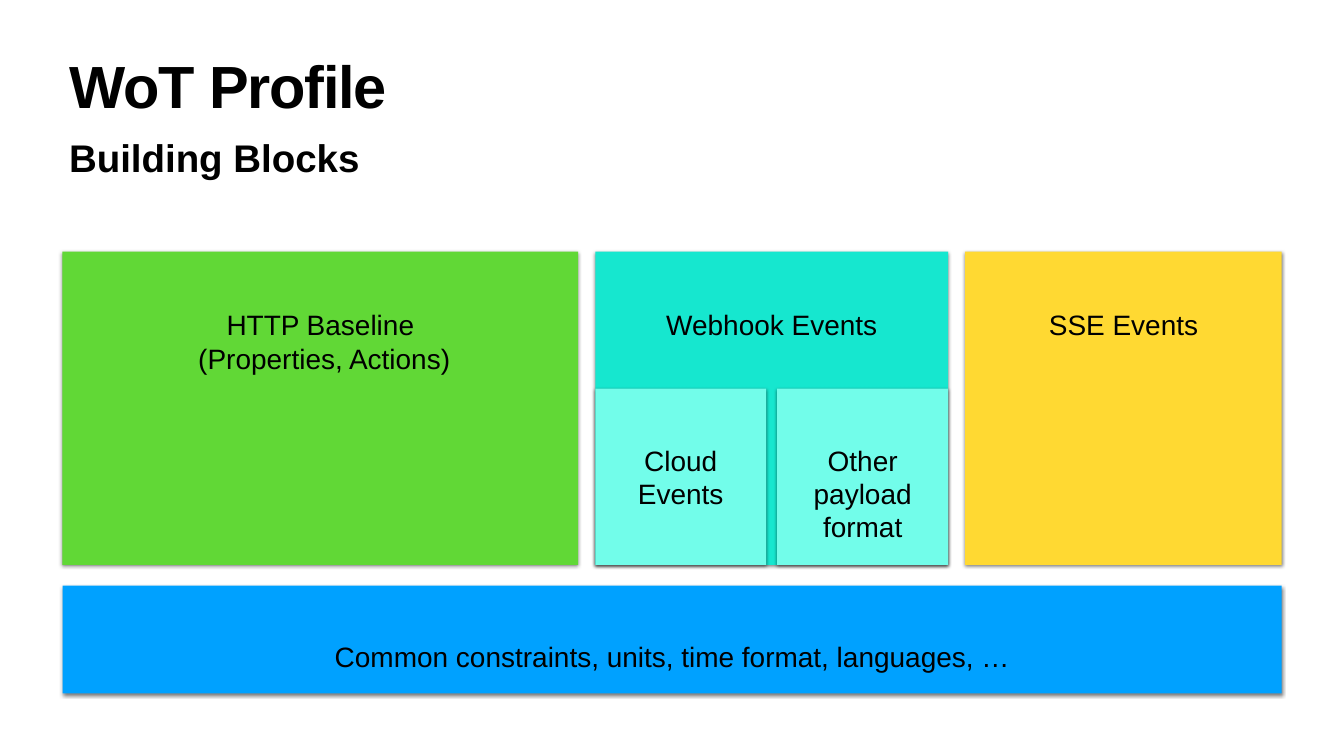
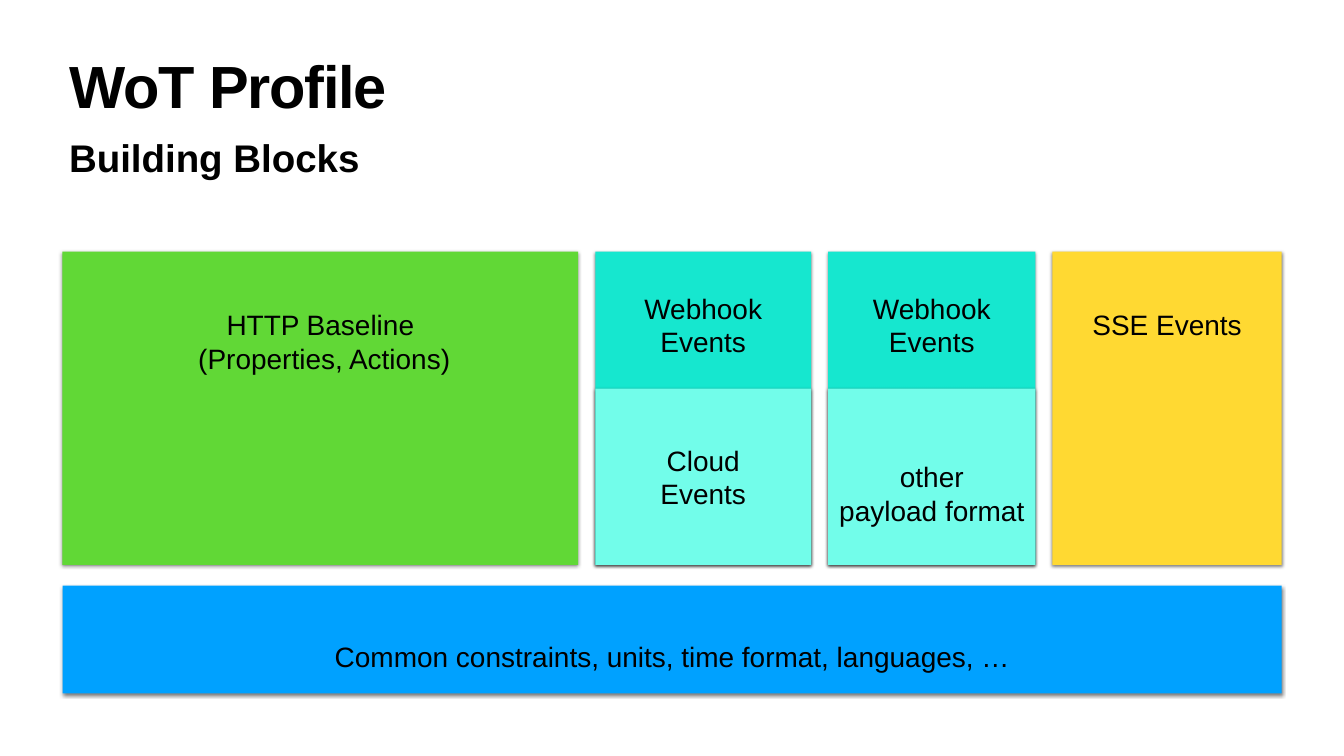
from lxml import etree
from pptx import Presentation
from pptx.dml.color import RGBColor
from pptx.enum import shapes, text
from pptx.oxml import ns
from pptx.util import Pt

BLACK = RGBColor(0x00, 0x00, 0x00)
BLUE = RGBColor(0x00, 0xA1, 0xFF)
GREEN = RGBColor(0x61, 0xD8, 0x36)
TEAL = RGBColor(0x16, 0xE7, 0xCF)
AQUA = RGBColor(0x72, 0xFD, 0xEA)
GOLD = RGBColor(0xFF, 0xD9, 0x32)
FONT = "Arial"

TITLE = "WoT Profile"
SUB = "Building Blocks"
BASE = ("Common constraints, units, time format, languages, …", BLUE, 0)

# Block: label, fill, free lines kept below the label
HTTP = ("HTTP Baseline\n (Properties, Actions)", GREEN, 5)
HOOK = ("Webhook Events", TEAL, 6)
SSE = ("SSE Events", GOLD, 6)
CLOUD = ("Cloud\nEvents", AQUA, 1)

# Column: width (None fills the row), block, tiles inside it
SLIDES = [
    [(736.6, HTTP, []),
     (504, HOOK, [CLOUD, ("Other payload format", AQUA, 0)]),
     (None, SSE, [])],
    [(736.6, HTTP, []),
     (308.2, HOOK, [CLOUD]),
     (295.9, HOOK, [("other\npayload format", AQUA, 0)]),
     (None, SSE, [])],
]

LEFT, RIGHT = 89.3, 1831
TOP, HIGH = 359.3, 447.8
TILE = 252
GAP, SLIT = 24.5, 15.8
BASE_TOP, BASE_HIGH = 836.6, 154.1
LINE, PAD = 47.6, 4.3


def inset(frame, side, top, bottom):
    frame.word_wrap = True
    frame.margin_left = frame.margin_right = Pt(side)
    frame.margin_top, frame.margin_bottom = Pt(top), Pt(bottom)


def style(para, size, bold=False):
    font = para.font
    font.name, font.size, font.bold = FONT, Pt(size), bold
    font.color.rgb = BLACK


def shade(shape):
    """Give the shape a soft shadow that falls straight down."""
    shape.shadow.inherit = False
    effects = shape._element.spPr.find(ns.qn("a:effectLst"))
    drop = etree.SubElement(effects, ns.qn("a:outerShdw"), blurRad=str(Pt(5)),
                            dist=str(Pt(2)), dir="5400000", rotWithShape="0")
    color = etree.SubElement(drop, ns.qn("a:srgbClr"), val=str(BLACK))
    etree.SubElement(color, ns.qn("a:alpha"), val="50000")


def add_block(slide, block, x, y, w, h):
    label, fill, below = block
    box = slide.shapes.add_shape(shapes.MSO_SHAPE.RECTANGLE,
                                 Pt(x), Pt(y), Pt(w), Pt(h))
    box.fill.solid()
    box.fill.fore_color.rgb = fill
    box.line.fill.background()
    shade(box)
    frame = box.text_frame
    inset(frame, PAD, PAD + LINE, PAD + below * LINE)
    frame.vertical_anchor = text.MSO_ANCHOR.MIDDLE
    frame.text = label
    for para in frame.paragraphs:
        style(para, 40)
        para.alignment = text.PP_ALIGN.CENTER
        para.line_spacing = Pt(LINE)


def add_head(slide, words, y, h, size, pad):
    box = slide.shapes.add_textbox(Pt(95), Pt(y), Pt(1730), Pt(h))
    frame = box.text_frame
    inset(frame, pad, pad, pad)
    frame.text = words
    para = frame.paragraphs[0]
    style(para, size, True)
    return para


def add_row(slide, cols):
    x = LEFT
    for width, block, tiles in cols:
        w = width or RIGHT - x
        add_block(slide, block, x, TOP, w, HIGH)
        if tiles:
            part = (w + SLIT) / len(tiles)
            for i, tile in enumerate(tiles):
                add_block(slide, tile, x + i * part, TOP + HIGH - TILE,
                          part - SLIT, TILE)
        x += w + GAP


def main():
    deck = Presentation()
    deck.slide_width, deck.slide_height = Pt(1920), Pt(1080)
    for cols in SLIDES:
        slide = deck.slides.add_slide(deck.slide_layouts[6])
        title = add_head(slide, TITLE, 85, 113, 85, PAD)
        title.line_spacing = 0.8
        title.runs[0]._r.get_or_add_rPr().set("spc", "-170")
        add_head(slide, SUB, 187.2, 73.4, 55, 3.6)
        add_block(slide, BASE, LEFT, BASE_TOP, RIGHT - LEFT, BASE_HIGH)
        add_row(slide, cols)
    deck.save("out.pptx")


if __name__ == "__main__":
    main()
